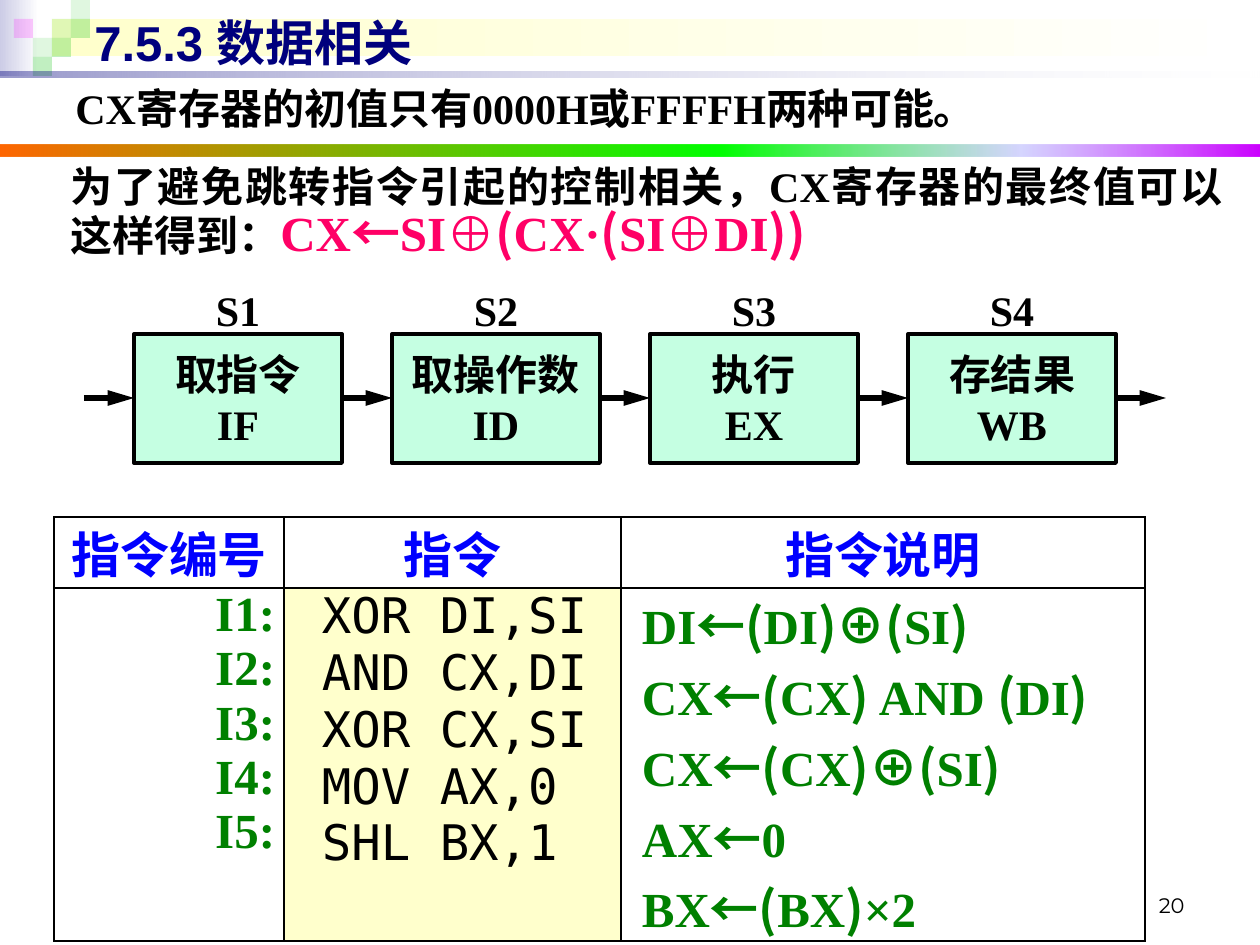
from itertools import groupby

from lxml import etree
from pptx import Presentation
from pptx import util as u
from pptx.dml.color import RGBColor
from pptx.enum import shapes, text
from pptx.oxml import parse_xml
from pptx.oxml.ns import nsdecls, qn

SCALE = 914400 / 126
SERIF, SANS, MONO = "Times New Roman", "Arial", "DejaVu Sans Mono"
HAN, NUMBER_FONT = "Noto Sans CJK SC", "Montserrat"

BLACK = RGBColor(0x00, 0x00, 0x00)
NAVY = RGBColor(0x00, 0x00, 0x7D)
BLUE = RGBColor(0x00, 0x00, 0xFF)
GREEN = RGBColor(0x00, 0x80, 0x00)
PINK = RGBColor(0xFF, 0x00, 0x66)
MINT = RGBColor(0xC5, 0xFF, 0xE2)
CREAM = RGBColor(0xFF, 0xFF, 0xCC)
WHITE = RGBColor(0xFF, 0xFF, 0xFF)
LAVENDER = RGBColor(0xCC, 0xCC, 0xE6)
LEAF = RGBColor(0x33, 0xCC, 0x33)
MAGENTA = RGBColor(0xFF, 0x00, 0xFF)
RAINBOW = [(0, RGBColor(0xFF, 0x66, 0x00), 100), (57, RGBColor(0x00, 0xFF, 0x00), 100),
           (81, RGBColor(0xCC, 0xCC, 0xFF), 80), (100, RGBColor(0xCC, 0x00, 0xFF), 100)]

CENTER, RIGHT = text.PP_ALIGN.CENTER, text.PP_ALIGN.RIGHT
MIDDLE, BOTTOM = text.MSO_ANCHOR.MIDDLE, text.MSO_ANCHOR.BOTTOM

# column, row and opacity of each small square, on a 19 px grid
SQUARES = [(2, 1, LEAF, 15), (3, 0, LEAF, 15), (3, 1, LEAF, 30), (1, 2, LEAF, 15),
           (0, 1, MAGENTA, 20), (2, 2, LEAF, 30), (1, 3, LEAF, 30)]
STAGES = [("取指令", "IF"), ("取操作数", "ID"), ("执行", "EX"), ("存结果", "WB")]
HEADERS = ["指令编号", "指令", "指令说明"]
INSTRUCTIONS = [("XOR DI,SI", "DI←(DI)⊕(SI)"), ("AND CX,DI", "CX←(CX) AND (DI)"),
                ("XOR CX,SI", "CX←(CX)⊕(SI)"), ("MOV AX,0", "AX←0"),
                ("SHL BX,1", "BX←(BX)×2")]


def px(length):
    return u.Emu(round(length * SCALE))


def add_run(paragraph, wording, size, color, font=SERIF, east=HAN, bold=True):
    run = paragraph.add_run()
    run.text = wording
    run.font.size, run.font.bold, run.font.name = u.Pt(size), bold, font
    run.font.color.rgb = color
    latin = run.font._element.find(qn("a:latin"))
    latin.addnext(parse_xml(f'<a:ea {nsdecls("a")} typeface="{east}"/>'))


def add_formula(paragraph, formula, color, symbols):
    """Sets the given symbols in the Han font and the rest in the serif font."""
    for is_symbol, chars in groupby(formula, lambda char: char in symbols):
        font = HAN if is_symbol else SERIF
        add_run(paragraph, "".join(chars), 28, color, font, font)


def paragraphs(frame, count, align=None):
    for index in range(count):
        paragraph = frame.add_paragraph() if index else frame.paragraphs[0]
        paragraph.alignment = align
        yield paragraph


def add_text(slide, x, y, w, h, anchor=text.MSO_ANCHOR.TOP, align=None, wrap=True):
    """Returns the first paragraph of a new text box."""
    frame = slide.shapes.add_textbox(px(x), px(y), px(w), px(h)).text_frame
    frame.word_wrap, frame.vertical_anchor = wrap, anchor
    frame.paragraphs[0].alignment = align
    return frame.paragraphs[0]


def add_block(slide, x, y, w, h, color):
    block = slide.shapes.add_shape(shapes.MSO_SHAPE.RECTANGLE, px(x), px(y), px(w), px(h))
    block.shadow.inherit = False
    block.fill.solid()
    block.fill.fore_color.rgb = color
    block.line.fill.background()
    return block


def set_opacity(block, percent):
    color = block._element.spPr.find(qn("a:solidFill"))[0]
    etree.SubElement(color, qn("a:alpha")).set("val", str(percent * 1000))


def add_gradient(slide, x, y, w, h, stops):
    """Adds a left-to-right gradient of (position, colour, opacity) stops."""
    block = add_block(slide, x, y, w, h, stops[0][1])
    marks = "".join(
        f'<a:gs pos="{position * 1000}"><a:srgbClr val="{color}">'
        f'<a:alpha val="{opacity * 1000}"/></a:srgbClr></a:gs>'
        for position, color, opacity in stops)
    gradient = parse_xml(f'<a:gradFill {nsdecls("a")} rotWithShape="1"><a:gsLst>{marks}'
                         '</a:gsLst><a:lin ang="0" scaled="1"/></a:gradFill>')
    properties = block._element.spPr
    properties.replace(properties.find(qn("a:solidFill")), gradient)


def add_arrow(slide, x, y, length):
    arrow = slide.shapes.add_connector(shapes.MSO_CONNECTOR.STRAIGHT,
                                       px(x), px(y), px(x + length), px(y))
    arrow.line.color.rgb, arrow.line.width = BLACK, u.Pt(3)
    head = etree.SubElement(arrow.line._get_or_add_ln(), qn("a:tailEnd"))
    head.set("type", "triangle")
    head.set("len", "lg")
    etree.SubElement(arrow._element.spPr, qn("a:effectLst"))


def add_backdrop(slide):
    add_gradient(slide, 0, 0, 39, 76, [(0, LAVENDER, 100), (100, WHITE, 100)])
    add_gradient(slide, 52, 19, 1203, 37, [(0, CREAM, 100), (100, WHITE, 100)])
    for column, row, color, opacity in SQUARES:
        square = add_block(slide, 14 + 19 * column, 19 * row, 19, 19, color)
        set_opacity(square, opacity)
    add_gradient(slide, 0, 72, 1260, 6, [(0, NAVY, 40), (100, WHITE, 10)])
    add_gradient(slide, 0, 145, 1260, 12, RAINBOW)


def add_pipeline(slide):
    pitch = 258
    for index, names in enumerate(STAGES):
        x = 134 + pitch * index
        stage = add_block(slide, x, 334, 208, 129, MINT)
        stage.line.color.rgb, stage.line.width = BLACK, u.Pt(2.25)
        frame = stage.text_frame
        frame.word_wrap, frame.vertical_anchor = False, MIDDLE
        for paragraph, name in zip(paragraphs(frame, 2, CENTER), names):
            add_run(paragraph, name, 24, BLACK)
        label = add_text(slide, x + 69, 278, 70, 63, align=CENTER, wrap=False)
        add_run(label, f"S{index + 1}", 24, BLACK)
    for index in range(len(STAGES) + 1):
        add_arrow(slide, 84 + pitch * index, 398, 50)


def style_cell(cell, left=9):
    cell.margin_left, cell.margin_right = px(left), px(9)
    cell.margin_top = cell.margin_bottom = 0
    cell.fill.background()
    properties = cell._tc.get_or_add_tcPr()
    for position, side in enumerate(("lnL", "lnR", "lnT", "lnB")):
        properties.insert(position, parse_xml(
            f'<a:{side} {nsdecls("a")} w="12700"><a:solidFill>'
            f'<a:srgbClr val="{BLACK}"/></a:solidFill></a:{side}>'))


def add_instruction_table(slide):
    table = slide.shapes.add_table(2, 3, px(54), px(517), px(1091), px(424)).table
    table.first_row = table.horz_banding = False
    for row, height in zip(table.rows, (71, 353)):
        row.height = px(height)
    for column, width in zip(table.columns, (230, 337, 524)):
        column.width = px(width)
    for index, header in enumerate(HEADERS):
        cell = table.cell(0, index)
        style_cell(cell)
        cell.vertical_anchor = MIDDLE
        cell.text_frame.paragraphs[0].alignment = CENTER
        add_run(cell.text_frame.paragraphs[0], header, 28, BLUE)

    numbers, codes, meanings = (table.cell(1, index) for index in range(3))
    for cell, left in ((numbers, 9), (codes, 38), (meanings, 21)):
        style_cell(cell, left)
    codes.fill.solid()
    codes.fill.fore_color.rgb = CREAM
    count = len(INSTRUCTIONS)
    lines = zip(paragraphs(numbers.text_frame, count, RIGHT),
                paragraphs(codes.text_frame, count),
                paragraphs(meanings.text_frame, count), INSTRUCTIONS)
    for index, (number, code, meaning, (command, effect)) in enumerate(lines, 1):
        add_run(number, f"I{index}:", 28, GREEN)
        add_run(code, command, 28, BLACK, MONO, bold=False)
        add_formula(meaning, effect, GREEN, "←()⊕")


def main():
    deck = Presentation()
    deck.slide_width, deck.slide_height = px(1260), px(945)
    slide = deck.slides.add_slide(deck.slide_layouts[6])
    add_backdrop(slide)

    title = add_text(slide, 82, 6, 1134, 72, MIDDLE)
    add_run(title, "7.5.3 数据相关", 28, NAVY, SANS)
    premise = add_text(slide, 63, 76, 1153, 63)
    add_run(premise, "CX寄存器的初值只有0000H或FFFFH两种可能。", 24, BLACK)
    number = add_text(slide, 903, 861, 294, 63, BOTTOM, RIGHT)
    add_run(number, "20", 12, BLACK, NUMBER_FONT, bold=False)

    add_instruction_table(slide)
    result = add_text(slide, 58, 161, 1177, 123, align=text.PP_ALIGN.JUSTIFY)
    result.line_spacing = 0.87
    add_run(result, "为了避免跳转指令引起的控制相关，CX寄存器的最终值可以这样得到：", 24, BLACK)
    add_formula(result, "CX←SI⊕(CX·(SI⊕DI))", PINK, "←()")
    add_pipeline(slide)
    deck.save("out.pptx")


if __name__ == "__main__":
    main()
